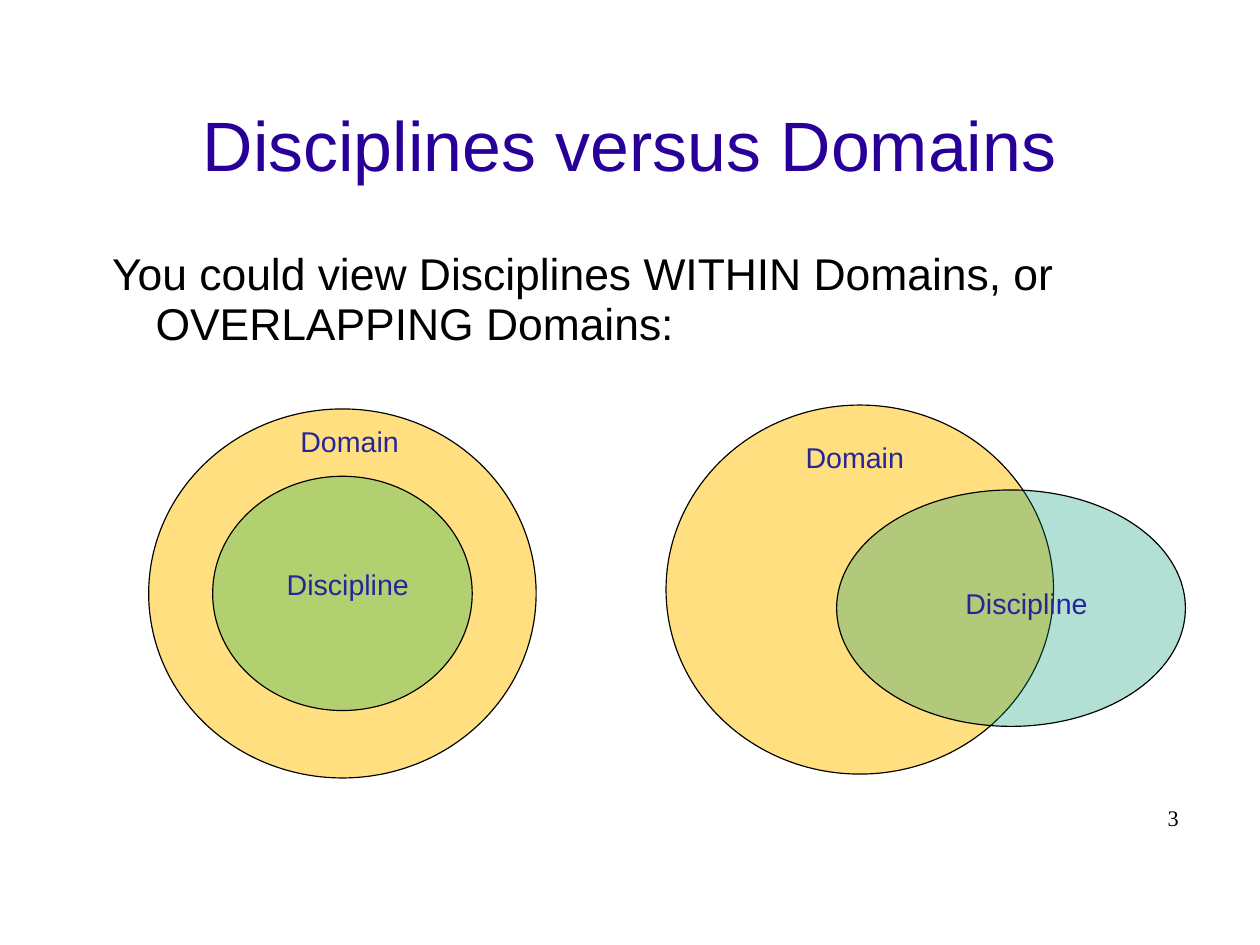
import dataclasses
import typing

import pptx
import pptx.dml.color
import pptx.enum.shapes
import pptx.enum.text
import pptx.oxml
import pptx.oxml.ns
import pptx.util

INKS = {"title": "280099", "text": "000000", "label": "262699",
        "domain": "FFC000", "inner": "00B050", "outer": "009973"}
ALIGN = pptx.enum.text.PP_ALIGN
ANCHOR = pptx.enum.text.MSO_ANCHOR

Box = typing.Tuple[float, float, float, float]


@dataclasses.dataclass
class Oval:
    box: Box  # left, top, width, height in percent of the slide
    ink: str
    alpha: int


@dataclasses.dataclass
class Text:
    words: str
    box: Box
    size: int
    ink: str = "text"
    font: str = "Arial"
    align: typing.Any = ALIGN.LEFT
    anchor: typing.Any = ANCHOR.TOP
    pads: typing.Tuple[float, float] = (0, 0)  # side, top and bottom, inches
    lead: float = 0.93
    after: float = 0
    hang: float = 0


DISC = (30.75, 39.05)
OVALS = [
    Oval((11.8, 43.28, *DISC), "domain", 50),
    Oval((16.88, 50.4, 20.6, 24.79), "inner", 30),
    Oval((52.86, 42.87, *DISC), "domain", 50),
    Oval((66.4, 51.85, 27.68, 25.02), "outer", 30),
]
LABELS = [("Domain", 22.95, 44.6, 10.34), ("Discipline", 21.86, 59.69, 12.43),
          ("Domain", 63.04, 46.26, 10.34), ("Discipline", 75.72, 61.75, 12.43)]
TEXTS = [
    Text("Disciplines versus Domains", (7.14, 7.33, 85.72, 16.69), 44, "title",
         align=ALIGN.CENTER, anchor=ANCHOR.MIDDLE),
    Text("You could view Disciplines WITHIN Domains, or OVERLAPPING Domains:",
         (8.9, 26.22, 82.1, 73.3), 28, pads=(0, 0.03), after=14.2, hang=0.38),
    Text("3", (70.25, 85.33, 23.3, 6.89), 14, font="Times New Roman",
         align=ALIGN.RIGHT, lead=0.95),
] + [Text(words, (left, top, wide, 4.59), 18, "label", pads=(0.1, 0.05))
     for words, left, top, wide in LABELS]

deck = pptx.Presentation()
deck.slide_width = pptx.util.Emu(10080625)
deck.slide_height = pptx.util.Emu(7559675)
slide = deck.slides.add_slide(deck.slide_layouts[6])


def place(box: Box) -> typing.List[int]:
    sides = (deck.slide_width, deck.slide_height) * 2
    return [round(side * share / 100) for side, share in zip(sides, box)]


def color(name: str) -> pptx.dml.color.RGBColor:
    return pptx.dml.color.RGBColor.from_string(INKS[name])


def draw_oval(oval: Oval) -> None:
    shape = slide.shapes.add_shape(pptx.enum.shapes.MSO_SHAPE.OVAL, *place(oval.box))
    shape.shadow.inherit = False
    shape.fill.solid()
    shape.fill.fore_color.rgb = color(oval.ink)
    shape.line.color.rgb = color("text")
    shape.line.width = pptx.util.Pt(0.75)
    # Opacity of the fill
    tint = shape.element.spPr.find("/".join(
        pptx.oxml.ns.qn(tag) for tag in ("a:solidFill", "a:srgbClr")))
    alpha = pptx.oxml.parse_xml(
        f'<a:alpha {pptx.oxml.ns.nsdecls("a")} val="{oval.alpha * 1000}"/>')
    tint.append(alpha)


def draw_text(text: Text) -> None:
    frame = slide.shapes.add_textbox(*place(text.box)).text_frame
    frame.word_wrap = True
    frame.vertical_anchor = text.anchor
    side, edge = map(pptx.util.Inches, text.pads)
    frame.margin_left = frame.margin_right = side
    frame.margin_top = frame.margin_bottom = edge
    frame.text = text.words
    para = frame.paragraphs[0]
    para.alignment = text.align
    para.line_spacing = text.lead
    para.space_after = pptx.util.Pt(text.after)
    if text.hang:
        props = para._p.get_or_add_pPr()
        props.set("marL", str(pptx.util.Inches(text.hang)))
        props.set("indent", str(-pptx.util.Inches(text.hang)))
    font = para.runs[0].font
    font.name = text.font
    font.size = pptx.util.Pt(text.size)
    font.color.rgb = color(text.ink)


# Domains and disciplines
for oval in OVALS:
    draw_oval(oval)

# Title, body, page number and labels
for text in TEXTS:
    draw_text(text)

deck.save("out.pptx")
